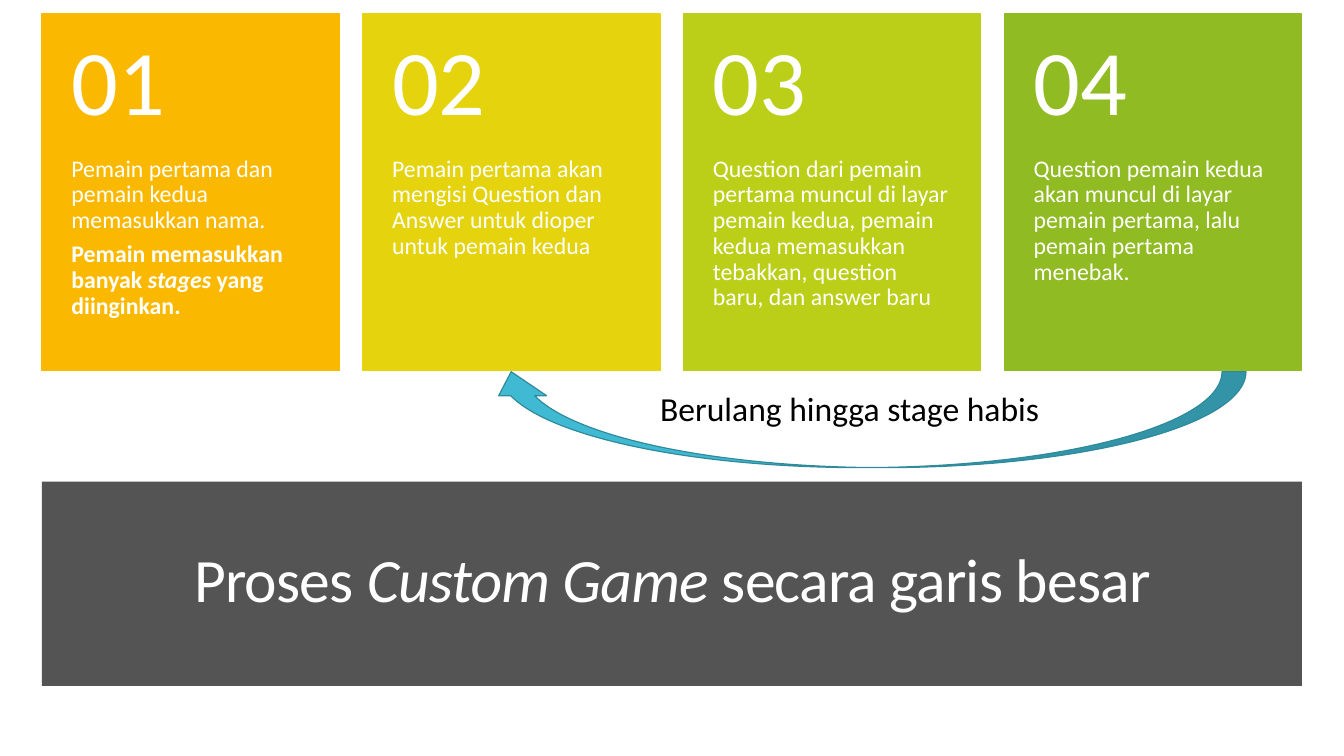
"""Build a slide with four numbered game steps, a loop arrow and a title band."""
from pptx import Presentation
from pptx.dml.color import RGBColor
from pptx.enum.shapes import MSO_SHAPE as Preset
from pptx.enum.text import MSO_ANCHOR as Anchor, MSO_AUTO_SIZE as AutoSize, PP_ALIGN as Align
from pptx.oxml.ns import qn
from pptx.util import Pt


def add_block(preset, left, top, width, height, fill, line=None, weight=0.75):
    block = page.shapes.add_shape(preset, Pt(left), Pt(top), Pt(width), Pt(height))
    block.shadow.inherit = False
    block.fill.solid()
    block.fill.fore_color.rgb = RGBColor.from_string(fill)
    if line:
        block.line.color.rgb = RGBColor.from_string(line)
        block.line.width = Pt(weight)
    else:
        block.line.fill.background()
    return block


def write(box, paragraphs, size, color="FFFFFF", spacing=0.9, after=0, align=Align.LEFT):
    frame = box.text_frame
    for index, spans in enumerate(paragraphs):
        para = frame.add_paragraph() if index else frame.paragraphs[0]
        para.alignment = align
        para.line_spacing = spacing
        para.space_before = Pt(0)
        para.space_after = Pt(after)
        for text, bold, italic in spans:
            span = para.add_run()
            span.text = text
            span.font.name = "Calibri"
            span.font.size = Pt(size)
            span.font.bold = bold
            span.font.italic = italic
            span.font.color.rgb = RGBColor.from_string(color)


deck = Presentation()
deck.slide_width, deck.slide_height = Pt(960), Pt(540)
page = deck.slides.add_slide(deck.slide_layouts[5])

band = add_block(Preset.RECTANGLE, 30, 344, 900, 146, "545454")
title = page.shapes.title
title.element.addprevious(band.element)
title.left, title.top, title.width, title.height = Pt(44), Pt(362), Pt(872.5), Pt(107.5)
title.text_frame.auto_size = AutoSize.NONE
title.text_frame.vertical_anchor = Anchor.MIDDLE
write(title, [[("Proses ", False, False), ("Custom Game ", False, True),
               ("secara garis besar", False, False)]], 44, align=Align.CENTER)
for props in title.element.iter(qn("a:rPr")):
    props.set("spc", "-60")

steps = [
    ("FAB900", [[("Pemain pertama dan pemain kedua memasukkan nama.", False, False)],
                [("Pemain memasukkan banyak ", True, False), ("stages", True, True),
                 (" yang diinginkan.", True, False)]]),
    ("E4D30D", [[("Pemain pertama akan mengisi Question dan Answer untuk dioper "
                  "untuk pemain kedua", False, False)]]),
    ("BCCF18", [[("Question dari pemain pertama muncul di layar pemain kedua, pemain kedua "
                  "memasukkan tebakkan, question baru, dan answer baru", False, False)]]),
    ("90BB23", [[("Question pemain kedua akan muncul di layar pemain pertama, lalu "
                  "pemain pertama menebak.", False, False)]]),
]
card_width, card_step, card_top = 212.4, 229.1, 10
number_height, detail_height = 101.9, 152.9

for index, (color, details) in enumerate(steps):
    left = 30 + index * card_step
    add_block(Preset.RECTANGLE, left, card_top, card_width,
              number_height + detail_height, color, color)
    number = [[(f"{index + 1:02}", False, False)]]
    for top, height, inset_top, inset_bottom, anchor, paragraphs, size in (
        (card_top + number_height, detail_height, 0, 26, Anchor.TOP, details, 17),
        (card_top, number_height, 13, 13, Anchor.MIDDLE, number, 66),
    ):
        box = page.shapes.add_textbox(Pt(left), Pt(top), Pt(card_width), Pt(height))
        frame = box.text_frame
        frame.word_wrap = True
        frame.vertical_anchor = anchor
        frame.margin_left = frame.margin_right = Pt(21)
        frame.margin_top, frame.margin_bottom = Pt(inset_top), Pt(inset_bottom)
        write(box, paragraphs, size, after=size * 0.35)

loop = add_block(Preset.CURVED_DOWN_ARROW, 348, 265.5, 542, 68.5, "40BAD2", "2F8A9B", 0.85)
loop.rotation = 180

caption = page.shapes.add_textbox(Pt(464.5), Pt(273.5), Pt(296.5), Pt(36))
caption.text_frame.word_wrap = False
caption.text_frame.auto_size = AutoSize.SHAPE_TO_FIT_TEXT
write(caption, [[("Berulang hingga stage habis", False, False)]], 24, "000000", 1)

deck.save("out.pptx")
